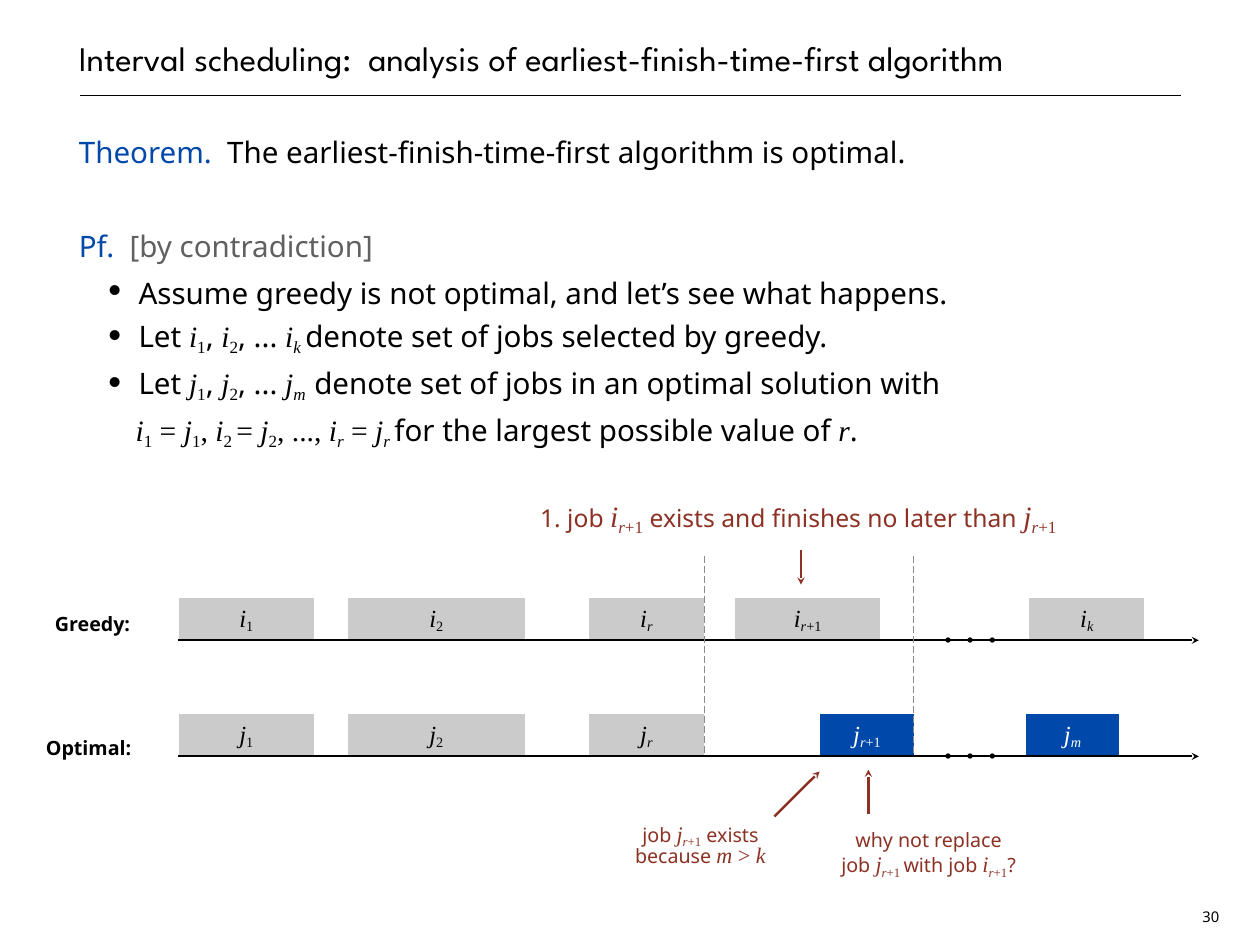
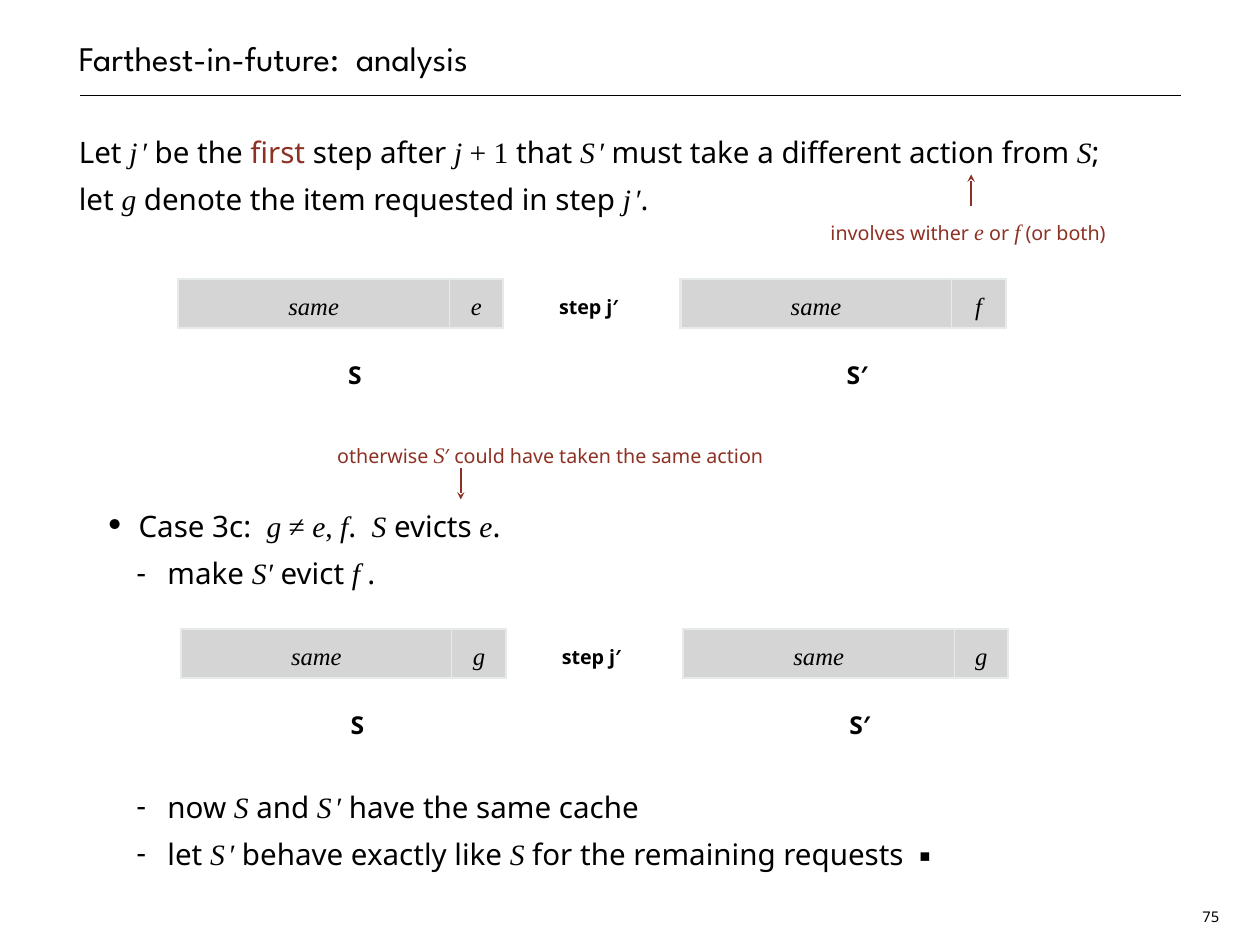
from lxml import etree
from pptx import Presentation
from pptx.dml.color import RGBColor
from pptx.enum.dml import MSO_LINE
from pptx.enum.shapes import MSO_CONNECTOR, MSO_SHAPE
from pptx.enum.text import MSO_ANCHOR, MSO_AUTO_SIZE, PP_ALIGN
from pptx.oxml.ns import qn
from pptx.util import Inches, Pt

BLACK = RGBColor(0x00, 0x00, 0x00)
WHITE = RGBColor(0xFF, 0xFF, 0xFF)
BLUE = RGBColor(0x00, 0x48, 0xAA)
RED = RGBColor(0x8D, 0x31, 0x24)
GRAY = RGBColor(0x60, 0x60, 0x60)
DASH_GRAY = RGBColor(0x8A, 0x8A, 0x8A)
BAR_GRAY = RGBColor(0xCB, 0xCB, 0xCB)
CELL_GRAY = RGBColor(0xD5, 0xD5, 0xD5)
BORDER = "E7EAEB"

TITLE_FONT, SANS, MATH = "League Spartan", "Noto Sans", "Times New Roman"
LINE = 38  # body line pitch in points

# Run marks: m math italic, w spaced math italic, u math upright,
# s upright subscript, t italic subscript, B/G/R coloured text
MARK_COLORS = {"B": BLUE, "G": GRAY, "R": RED}

# Left indent, hanging indent, bullet and its size for each list level
LEVELS = [(0, 0, None, None), (0.64, -0.5, "・", 160), (1, -0.35, "-", 100)]


# ---- text ----
def add_runs(p, text, size, math_size=None, color=BLACK, bold=False):
    """Add runs written as 'text~mark', separated by '|'."""
    for part in text.split("|"):
        if part == "\n":
            p.add_line_break()
            continue
        words, _, mark = part.partition("~")
        is_math = mark != "" and mark in "mwust"
        r = p.add_run()
        r.text = words
        f = r.font
        f.name = MATH if is_math else SANS
        f.size = Pt(math_size or size) if is_math else Pt(size)
        f.bold = bold
        f.italic = mark != "" and mark in "mwt"
        f.color.rgb = MARK_COLORS.get(mark, color)
        rPr = r._r.get_or_add_rPr()
        if mark != "" and mark in "st":
            rPr.set("baseline", "-20000")
        if mark == "w":
            rPr.set("spc", "240")


def clear_margins(tf, inset=0):
    tf.margin_left = tf.margin_right = Inches(inset)
    tf.margin_top = tf.margin_bottom = Inches(inset)


def add_text(s, box, paragraphs, size, math_size=None, color=BLACK,
             bold=False, spacing=1.3, wrap=False, inset=0):
    tf = s.shapes.add_textbox(*map(Inches, box)).text_frame
    clear_margins(tf, inset)
    tf.word_wrap = wrap
    tf.auto_size = MSO_AUTO_SIZE.SHAPE_TO_FIT_TEXT
    for n, text in enumerate(paragraphs):
        p = tf.add_paragraph() if n else tf.paragraphs[0]
        p.alignment = PP_ALIGN.CENTER
        p.line_spacing = spacing
        add_runs(p, text, size, math_size, color, bold)


def set_bullet(p, level):
    left, hang, char, percent = LEVELS[level]
    p.level = level
    pPr = p._p.get_or_add_pPr()
    pPr.set("marL", str(Inches(left)))
    pPr.set("indent", str(Inches(hang)))
    if char:
        etree.SubElement(pPr, qn("a:buSzPct")).set("val", str(percent * 1000))
        etree.SubElement(pPr, qn("a:buChar")).set("char", char)
    else:
        etree.SubElement(pPr, qn("a:buNone"))


# ---- lines ----
def add_line(s, start, end, color, width, arrow=False, dash=None):
    ln = s.shapes.add_connector(MSO_CONNECTOR.STRAIGHT,
                                *map(Inches, (*start, *end)))
    ln.line.color.rgb = color
    ln.line.width = Pt(width)
    if dash:
        ln.line.dash_style = dash
    if arrow:
        tail = etree.SubElement(ln.line._get_or_add_ln(), qn("a:tailEnd"))
        tail.set("type", "stealth")
    etree.SubElement(ln._element.spPr, qn("a:effectLst"))


# ---- shared slide frame ----
def place(sp, box):
    sp.left, sp.top, sp.width, sp.height = map(Inches, box)
    tf = sp.text_frame
    clear_margins(tf)
    tf.word_wrap = True
    tf.auto_size = MSO_AUTO_SIZE.NONE
    return tf


def add_slide(prs, title, number, body):
    """body holds (level, blank lines before, text) for each paragraph."""
    s = prs.slides.add_slide(prs.slide_layouts[1])
    add_line(s, (0.9, 1.08), (13.33, 1.08), BLACK, 1)

    tf = place(s.shapes.title, (0.89, 0, 12.44, 0.89))
    tf.vertical_anchor = MSO_ANCHOR.BOTTOM
    p = tf.paragraphs[0]
    p.alignment = PP_ALIGN.LEFT
    p.line_spacing = Pt(LINE)
    r = p.add_run()
    r.text = title
    r.font.name, r.font.size = TITLE_FONT, Pt(28)
    r.font.color.rgb = BLACK

    tf = place(s.placeholders[1], (0.89, 1.39, 12.44, 8.94))
    tf.vertical_anchor = MSO_ANCHOR.TOP
    for n, (level, gap, text) in enumerate(body):
        p = tf.add_paragraph() if n else tf.paragraphs[0]
        set_bullet(p, level)
        p.line_spacing = Pt(LINE)
        p.space_before = Pt(gap * LINE)
        add_runs(p, text, 24)

    add_text(s, (13.51, 10.22, 0.31, 0.24), [number], 12,
             spacing=Pt(14), inset=0.04)
    return s


# ---- interval scheduling ----
def add_job(s, box, text, fill, color):
    sp = s.shapes.add_shape(MSO_SHAPE.RECTANGLE, *map(Inches, box))
    sp.shadow.inherit = False
    sp.fill.solid()
    sp.fill.fore_color.rgb = fill
    sp.line.color.rgb = WHITE
    sp.line.width = Pt(0.75)
    tf = sp.text_frame
    clear_margins(tf)
    tf.vertical_anchor = MSO_ANCHOR.MIDDLE
    p = tf.paragraphs[0]
    p.alignment = PP_ALIGN.CENTER
    add_runs(p, text, 20, color=color)


def add_timeline(s, left, top, letter, own_jobs, fill, color):
    """Jobs 1, 2 and r are shared; own_jobs are (offset, width, index)."""
    shared = [(0, 1.54, "1~s"), (1.91, 2.01, "2~s"), (4.63, 1.31, "r~t")]
    for jobs, back, ink in ((shared, BAR_GRAY, BLACK),
                            (own_jobs, fill, color)):
        for dx, width, index in jobs:
            add_job(s, (left + dx, top, width, 0.47),
                    f"{letter}~m|{index}", back, ink)
    axis = top + 0.48
    add_line(s, (left, axis), (left + 11.52, axis), BLACK, 1.5, arrow=True)
    add_text(s, (left + 8.62, top - 0.18, 0.64, 0.6), [". . .~u"], 36)


def scheduling_slide(prs):
    s = add_slide(
        prs,
        "Interval scheduling:  analysis of earliest-finish-time-first algorithm",
        "30",
        [(0, 0, "Theorem.  ~B|The earliest-finish-time-first algorithm is optimal."),
         (0, 1, "Pf.  ~B|[by contradiction]~G"),
         (1, 0, "Assume greedy is not optimal, and let’s see what happens."),
         (1, 0, "Let |i~m|1~s|, |i~m|2~s|, ... |i~m|k ~t|"
                "denote set of jobs selected by greedy."),
         (1, 0, "Let |j~m|1~s|, |j~m|2~s|, ... |j~m|m  ~t|"
                "denote set of jobs in an optimal solution with|\n|"
                "i~m|1~s| = ~u|j~m|1~s|, ~u|i~m|2 ~s|= ~u|j~m|2~s|, ..., ~u|"
                "i~m|r~t| = ~u|j~m|r ~t|for the largest possible value of |r~m|.")])

    # Greedy and optimal schedules
    left, greedy, optimal = 2.01, 6.75, 8.06
    add_timeline(s, left, greedy, "i",
                 [(6.28, 1.65, "r~t|+1~s"), (9.6, 1.31, "k~t")],
                 BAR_GRAY, BLACK)
    add_timeline(s, left, optimal, "j",
                 [(7.24, 1.07, "r~t|+1~s"), (9.56, 1.07, "m~t")],
                 BLUE, WHITE)
    add_text(s, (0.61, 6.83, 0.87, 0.25), ["Greedy:"], 16, bold=True)
    add_text(s, (0.51, 8.23, 0.98, 0.25), ["Optimal:"], 16, bold=True)
    for x in (7.95, 10.31):
        add_line(s, (x, 6.28), (x, 8.53), DASH_GRAY, 0.75,
                 dash=MSO_LINE.LONG_DASH)

    # Callouts
    add_text(s, (5.75, 5.49, 6.52, 0.47),
             ["1. job |i~m|r~t|+1~s| exists and finishes no later than "
              "|j~m|r~t|+1~s"], 20, 24, RED, wrap=True)
    add_text(s, (5.75, 9.3, 4.31, 0.62),
             ["job |j~m|r~t|+1~s| exists", "because |m~m| > ~u|k~m"],
             16, 18, RED, spacing=0.8, wrap=True)
    add_text(s, (8.8, 9.38, 3.36, 0.55),
             ["why not replace",
              "job |j~m|r~t|+1 ~s|with job |i~m|r~t|+1~s|?"],
             16, 18, RED, spacing=0.9, wrap=True)
    for start, end in (((9.04, 6.21), (9.04, 6.6)),
                       ((8.74, 9.22), (9.25, 8.71)),
                       ((9.8, 9.19), (9.8, 8.69))):
        add_line(s, start, end, RED, 2, arrow=True)


# ---- farthest-in-future ----
def set_borders(cell, widths):
    tcPr = cell._tc.get_or_add_tcPr()
    for side, width in zip("LRTB", widths):
        ln = etree.SubElement(tcPr, qn(f"a:ln{side}"))
        ln.set("w", str(Pt(width)))
        solid = etree.SubElement(ln, qn("a:solidFill"))
        etree.SubElement(solid, qn("a:srgbClr")).set("val", BORDER)


def add_cache(s, left, top, item):
    widths = (3.06, 0.61)
    table = s.shapes.add_table(1, 2, Inches(left), Inches(top),
                               Inches(sum(widths)), Inches(0.54)).table
    table.first_row = table.horz_banding = False
    borders = ((2, 1, 2, 2), (1, 2, 2, 2))
    for n, text in enumerate(("same", item)):
        table.columns[n].width = Inches(widths[n])
        cell = table.cell(0, n)
        set_borders(cell, borders[n])
        cell.fill.solid()
        cell.fill.fore_color.rgb = CELL_GRAY
        clear_margins(cell, 0.06)
        cell.vertical_anchor = MSO_ANCHOR.MIDDLE
        p = cell.text_frame.paragraphs[0]
        p.alignment = PP_ALIGN.CENTER
        p.line_spacing = 1.3
        add_runs(p, f"{text}~m", 20)


def add_cache_pair(s, left, top, items):
    for dx, item in zip((0, 5.67), items):
        add_cache(s, left + dx, top, item)
    add_text(s, (left + 4.23, top + 0.1, 0.81, 0.25), ["step j′"], 16, bold=True)
    for dx, width, name in ((1.91, 0.17, "S"), (7.53, 0.27, "S′")):
        add_text(s, (left + dx, top + 0.81, width, 0.32), [name], 20, bold=True)


def caching_slide(prs):
    s = add_slide(
        prs, "Farthest-in-future:  analysis", "75",
        [(0, 0, "Let |j~w|′~m| be the |first~R| step after |j ~m|+ 1~u| that "
                "|S~w|′ ~m|must take a different action from |S~m|;|\n|"
                "let |g~m| denote the item requested in step |j~w|′~m|."),
         (1, 6, "Case 3c:  |g~m| ≠ ~u|e~m|, ~u|f~m|.  |S~m| evicts |e~m|."),
         (2, 0, "make |S′~m| evict |f ~m|."),
         (2, 4, "now |S~m| and |S~w|′~m| have the same cache"),
         (2, 0, "let |S~w|′~m| behave exactly like |S~m|"
                " for the remaining requests  ▪")])

    # Caches before and after the step
    add_cache_pair(s, 2.01, 3.15, "ef")
    add_cache_pair(s, 2.04, 7.1, "gg")

    # Callouts
    add_text(s, (9.28, 2.38, 3.29, 0.32),
             ["involves wither |e~m| or |f~m| (or both)"], 16, 18, RED)
    add_text(s, (3.69, 4.89, 5.04, 0.32),
             ["otherwise |S~m|′ could have taken the same action"], 16, 18, RED)
    add_line(s, (10.96, 2.33), (10.96, 1.97), RED, 2, arrow=True)
    add_line(s, (5.2, 5.28), (5.2, 5.64), RED, 2, arrow=True)


def main():
    prs = Presentation()
    prs.slide_width, prs.slide_height = Inches(14.22), Inches(10.67)
    scheduling_slide(prs)
    caching_slide(prs)
    prs.save("out.pptx")


if __name__ == "__main__":
    main()
